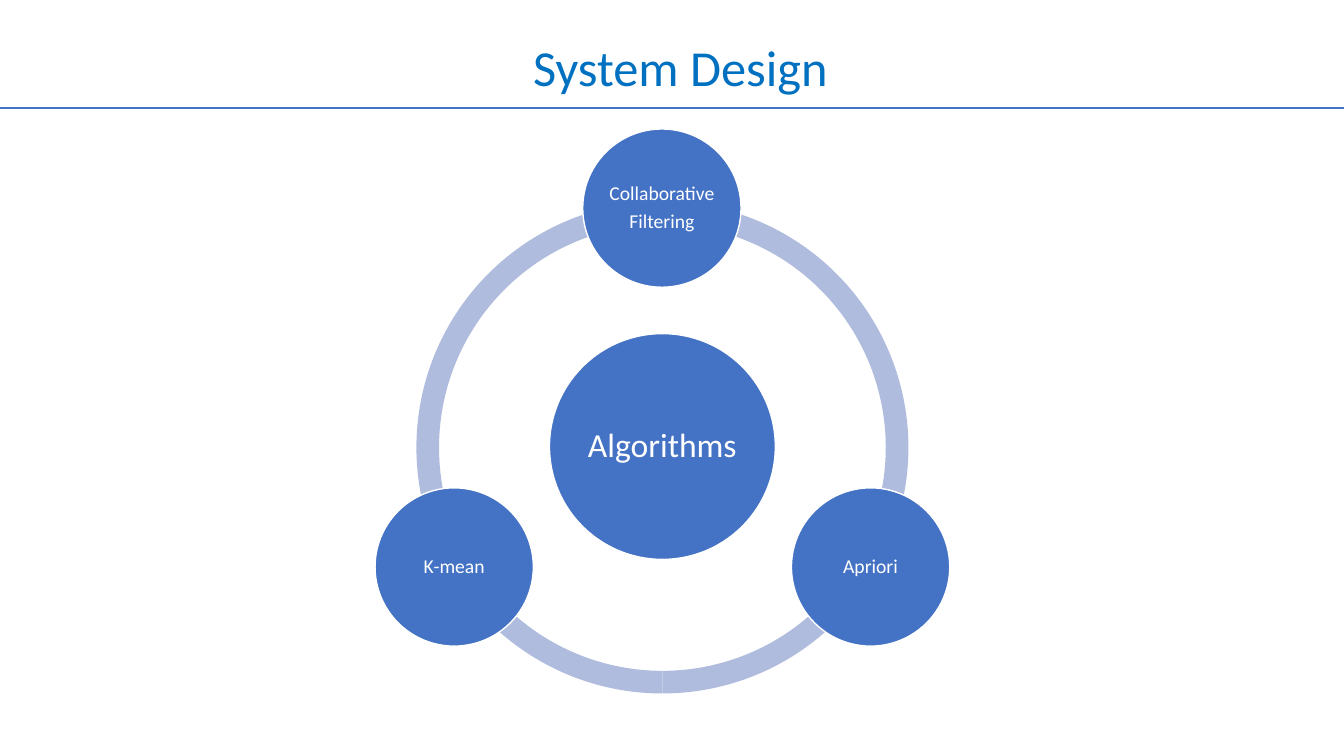
import math
from dataclasses import dataclass

import pptx
import pptx.dml.color
import pptx.enum.shapes
import pptx.enum.text
import pptx.oxml
import pptx.util

PX = 9144
SHAPE = pptx.enum.shapes.MSO_SHAPE
ALIGN = pptx.enum.text.PP_ALIGN
ANCHOR = pptx.enum.text.MSO_ANCHOR
NODES = [(-90, "Collaborative\nFiltering"), (30, "Apriori"), (150, "K-mean")]
ARCS = [(90, 162), (18, 90), (162, 18)]


@dataclass(frozen=True)
class Theme:
    font: str = "Calibri"
    title: str = "0070C0"
    main: str = "4472C4"
    ring: str = "B0BCDE"
    white: str = "FFFFFF"
    head: int = 36
    core: int = 24
    node: int = 14


THEME = Theme()


def emu(*sizes):
    return [size * PX for size in sizes]


def rgb(code):
    return pptx.dml.color.RGBColor.from_string(code)


def style(para, size, color, align):
    para.alignment = align
    para.font.name = THEME.font
    para.font.size = pptx.util.Pt(size)
    para.font.color.rgb = rgb(color)


def inset(frame, side, top):
    frame.margin_left = frame.margin_right = side * PX
    frame.margin_top = frame.margin_bottom = top * PX


def add_head(slide, left, top, width, height):
    title = slide.shapes.title
    title.left, title.top, title.width, title.height = emu(left, top, width, height)
    frame = title.text_frame
    frame.text = "System Design"
    frame.auto_size = pptx.enum.text.MSO_AUTO_SIZE.NONE
    frame.vertical_anchor = ANCHOR.TOP
    inset(frame, 10, 5)
    style(frame.paragraphs[0], THEME.head, THEME.title, ALIGN.RIGHT)


def add_rule(slide, top, width):
    rule = slide.shapes.add_connector(
        pptx.enum.shapes.MSO_CONNECTOR.STRAIGHT, *emu(0, top, width, top))
    rule.line.color.rgb = rgb(THEME.main)
    rule.line.width = pptx.util.Pt(1.5)
    props = rule.element.spPr
    props.append(pptx.oxml.parse_xml(
        '<a:effectLst xmlns:a="http://schemas.openxmlformats.org/drawingml/2006/main"/>'))


def add_round(slide, kind, mid_x, mid_y, size, fill):
    left, top = round(mid_x - size / 2), round(mid_y - size / 2)
    shape = slide.shapes.add_shape(kind, *emu(left, top, size, size))
    shape.shadow.inherit = False
    shape.fill.solid()
    shape.fill.fore_color.rgb = rgb(fill)
    return shape


def add_disc(slide, mid_x, mid_y, size, text, points, pad):
    disc = add_round(slide, SHAPE.OVAL, mid_x, mid_y, size, THEME.main)
    disc.line.color.rgb = rgb(THEME.white)
    disc.line.width = pptx.util.Pt(1)
    frame = disc.text_frame
    frame.word_wrap = True
    frame.vertical_anchor = ANCHOR.MIDDLE
    inset(frame, pad, pad)
    frame.text = text
    for para in frame.paragraphs:
        style(para, points, THEME.white, ALIGN.CENTER)
        para.line_spacing = 0.9
        para.space_after = pptx.util.Pt(points * 0.35)


def add_cycle(slide, left, top, size):
    mid_x, mid_y = left + size / 2, top + size / 2
    orbit = 238
    for start, end in ARCS:
        arc = add_round(slide, SHAPE.BLOCK_ARC, mid_x, mid_y, size, THEME.ring)
        arc.line.fill.background()
        for index, value in enumerate((start * 0.6, end * 0.6, 0.046)):
            arc.adjustments[index] = value
    add_disc(slide, mid_x, mid_y - 1, 224, "Algorithms", THEME.core, 3)
    for angle, text in NODES:
        turn = math.radians(angle)
        add_disc(slide, mid_x + orbit * math.cos(turn),
                 mid_y + orbit * math.sin(turn), 157, text, THEME.node, 2)


def main():
    deck = pptx.Presentation()
    deck.slide_width, deck.slide_height = emu(1333, 750)
    slide = deck.slides.add_slide(deck.slide_layouts.get_by_name("Title Only"))
    add_rule(slide, 107, 1333)
    add_head(slide, 382, 31, 449, 71)
    add_cycle(slide, 413, 200, 488)
    deck.save("out.pptx")


if __name__ == "__main__":
    main()
